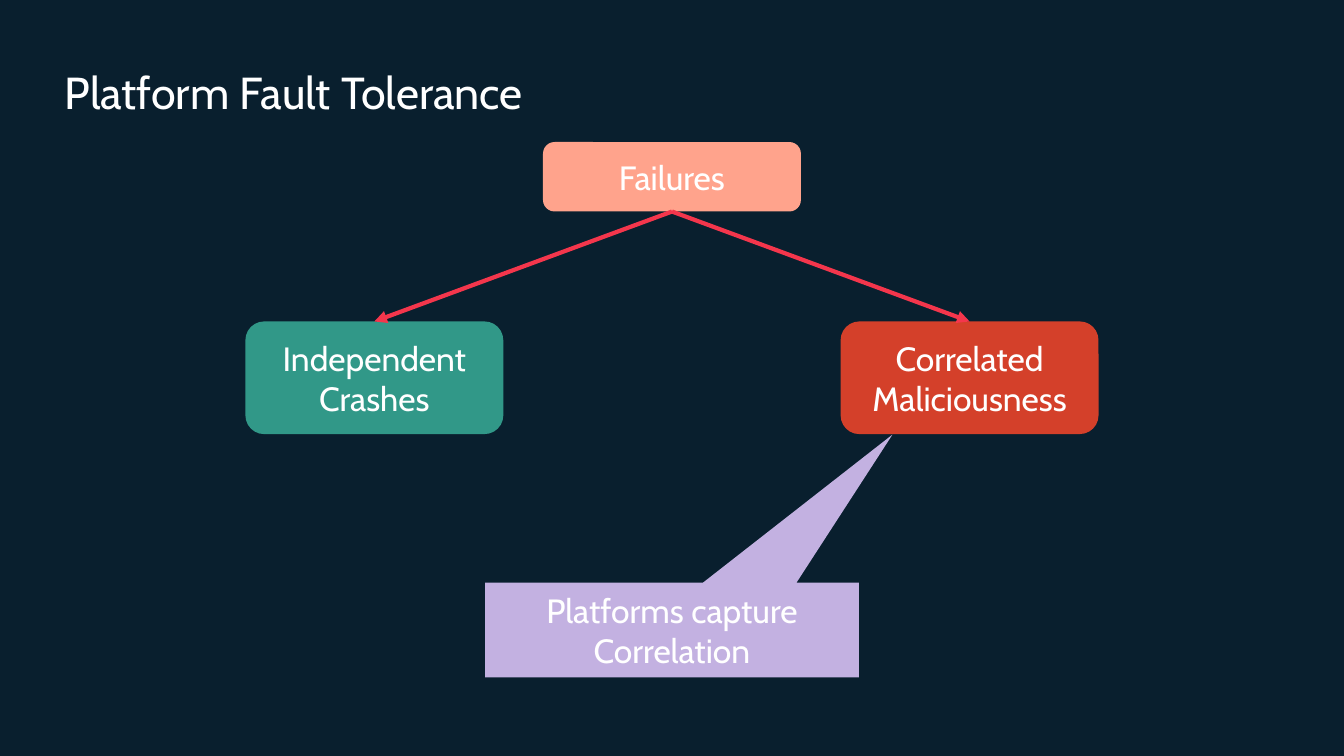
from dataclasses import dataclass

import pptx
import pptx.dml.color
import pptx.enum.shapes
import pptx.enum.text
import pptx.oxml
import pptx.oxml.ns
import pptx.shapes.autoshape
import pptx.slide
import pptx.text.text
import pptx.util

Cm = pptx.util.Cm
Shape = pptx.shapes.autoshape.Shape
Kind = pptx.enum.shapes.MSO_SHAPE
Align = pptx.enum.text.PP_ALIGN
Anchor = pptx.enum.text.MSO_ANCHOR


@dataclass(frozen=True)
class Theme:
    font: str = "Cabin"
    title_size: int = 32
    label_size: int = 24
    arrow_width: int = 3
    background: str = "091F2E"
    text: str = "FFFFFF"
    failures: str = "FFA38C"
    crashes: str = "319888"
    maliciousness: str = "D4402A"
    callout: str = "C3B1E1"
    arrow: str = "F4364C"


@dataclass(frozen=True)
class Box:
    text: str
    fill: str
    center: float
    top: float
    width: float
    height: float
    kind: Kind = Kind.ROUNDED_RECTANGLE
    adjustments: tuple[float, ...] = ()


THEME = Theme()
SLIDE_WIDTH, SLIDE_HEIGHT = 33.87, 19.05
CENTER = SLIDE_WIDTH / 2
BRANCH_OFFSET = 7.5
NODE_WIDTH = 6.5
BRANCH_TOP, BRANCH_HEIGHT = 8.1, 2.84
BOTTOM_SITE, TOP_SITE = 2, 0

ROOT = Box("Failures", THEME.failures, CENTER, 3.58, NODE_WIDTH, 1.75)
BRANCHES = [
    Box(text, fill, CENTER + side * BRANCH_OFFSET, BRANCH_TOP, NODE_WIDTH, BRANCH_HEIGHT)
    for text, fill, side in (
        ("Independent Crashes", THEME.crashes, -1),
        ("Correlated Maliciousness", THEME.maliciousness, 1),
    )
]
CALLOUT = Box("Platforms capture Correlation", THEME.callout, CENTER, 14.68, 9.42, 2.39,
              Kind.RECTANGULAR_CALLOUT, (0.59, -2.06))


def color(value: str) -> pptx.dml.color.RGBColor:
    return pptx.dml.color.RGBColor.from_string(value)


def write_text(frame: pptx.text.text.TextFrame, text: str, size: int, align: Align,
               anchor: Anchor, side_margin: float, end_margin: float) -> None:
    frame_format = {
        "word_wrap": True,
        "vertical_anchor": anchor,
        "margin_left": Cm(side_margin),
        "margin_right": Cm(side_margin),
        "margin_top": Cm(end_margin),
        "margin_bottom": Cm(end_margin),
    }
    for name, value in frame_format.items():
        setattr(frame, name, value)
    paragraph = frame.paragraphs[0]
    paragraph.alignment = align
    run = paragraph.add_run()
    run.text = text
    for name, value in {"name": THEME.font, "size": pptx.util.Pt(size)}.items():
        setattr(run.font, name, value)
    run.font.color.rgb = color(THEME.text)


def add_title(slide: pptx.slide.Slide, text: str) -> None:
    title = slide.shapes.add_textbox(Cm(1.63), Cm(1.63), Cm(26.72), Cm(1.37))
    write_text(title.text_frame, text, THEME.title_size, Align.LEFT, Anchor.TOP, 0, 0)


def add_box(slide: pptx.slide.Slide, box: Box) -> Shape:
    shape = slide.shapes.add_shape(box.kind, Cm(box.center - box.width / 2), Cm(box.top),
                                   Cm(box.width), Cm(box.height))
    for index, value in enumerate(box.adjustments):
        shape.adjustments[index] = value
    shape.shadow.inherit = False
    shape.fill.solid()
    shape.fill.fore_color.rgb = color(box.fill)
    shape.line.fill.background()
    write_text(shape.text_frame, box.text, THEME.label_size, Align.CENTER, Anchor.MIDDLE,
               0.5, 0.4)
    return shape


def add_arrow(slide: pptx.slide.Slide, start: Shape, end: Shape) -> None:
    arrow = slide.shapes.add_connector(pptx.enum.shapes.MSO_CONNECTOR.STRAIGHT, 0, 0, 0, 0)
    arrow.begin_connect(start, BOTTOM_SITE)
    arrow.end_connect(end, TOP_SITE)
    arrow.line.color.rgb = color(THEME.arrow)
    arrow.line.width = pptx.util.Pt(THEME.arrow_width)
    head = pptx.oxml.parse_xml(
        f'<a:tailEnd {pptx.oxml.ns.nsdecls("a")} type="triangle"/>')
    arrow.line._get_or_add_ln().append(head)
    no_effects = pptx.oxml.parse_xml(f'<a:effectLst {pptx.oxml.ns.nsdecls("a")}/>')
    arrow._element.spPr.append(no_effects)


def main() -> None:
    presentation = pptx.Presentation()
    presentation.slide_width = Cm(SLIDE_WIDTH)
    presentation.slide_height = Cm(SLIDE_HEIGHT)
    slide = presentation.slides.add_slide(presentation.slide_layouts[6])
    slide.background.fill.solid()
    slide.background.fill.fore_color.rgb = color(THEME.background)

    # Title
    add_title(slide, "Platform Fault Tolerance")

    # Failure tree
    root = add_box(slide, ROOT)
    branches = [add_box(slide, branch) for branch in BRANCHES]
    for branch in branches:
        add_arrow(slide, root, branch)

    # Callout pointing at the correlated branch
    add_box(slide, CALLOUT)

    presentation.save("out.pptx")


if __name__ == "__main__":
    main()
